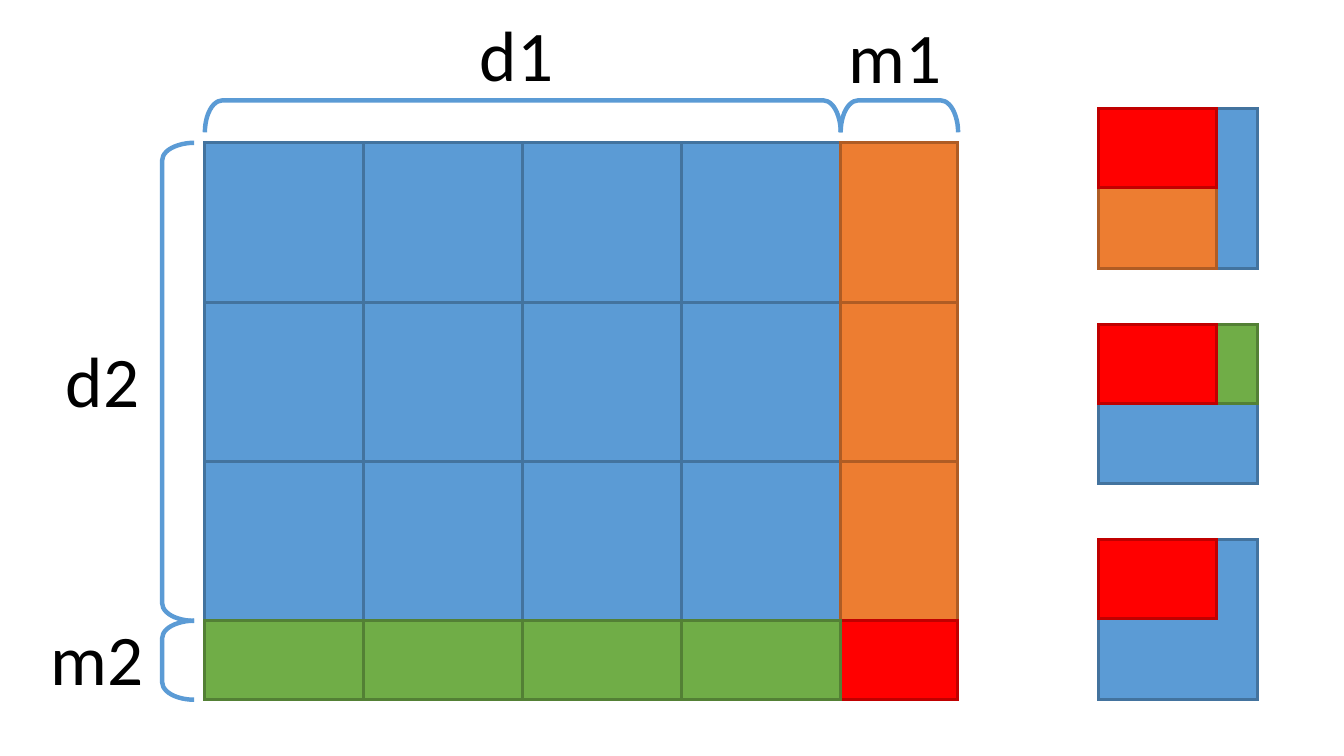
from lxml.etree import SubElement
from pptx import Presentation
from pptx.dml.color import RGBColor
from pptx.enum.shapes import MSO_SHAPE
from pptx.oxml.ns import qn
from pptx.util import Cm, Inches, Pt

COLORS = {
    "full": ("5B9BD5", "43739E"),
    "right": ("ED7D31", "AF5C24"),
    "bottom": ("70AD47", "538035"),
    "corner": ("FF0000", "C00000"),
    "bracket": "5B9BD5",
    "text": "000000",
}
COLUMNS, ROWS = 4, 3
FULL_WIDTH, FULL_HEIGHT = 2.98, 2.24
TILE_WIDTH, TILE_HEIGHT = FULL_WIDTH / COLUMNS, FULL_HEIGHT / ROWS
REST_WIDTH, REST_HEIGHT = 0.55, 0.37
BRACKET_DEPTH, BRACKET_GAP = 0.15, 0.05


def add_tile(slide, kind, left, top, width, height):
    """Add one sharp-cornered rectangle in the colours of its kind."""
    fill, line = COLORS[kind]
    shape = slide.shapes.add_shape(
        MSO_SHAPE.RECTANGLE, Inches(left), Inches(top), Inches(width), Inches(height))
    shape.shadow.inherit = False
    shape.fill.solid()
    shape.fill.fore_color.rgb = RGBColor.from_string(fill)
    shape.line.color.rgb = RGBColor.from_string(line)
    shape.line.width = Pt(1)
    outline = shape.element.spPr.find(qn("a:ln"))
    SubElement(outline, qn("a:miter"), lim="800000")


def add_bracket(slide, center_x, center_y, length, rotation=0):
    """Add a bracket of the given length around its centre."""
    shape = slide.shapes.add_shape(
        MSO_SHAPE.LEFT_BRACKET,
        Inches(center_x - BRACKET_DEPTH / 2), Inches(center_y - length / 2),
        Inches(BRACKET_DEPTH), Inches(length))
    shape.adjustments[0] = 0.55
    shape.rotation = rotation
    shape.shadow.inherit = False
    shape.fill.background()
    shape.line.color.rgb = RGBColor.from_string(COLORS["bracket"])
    shape.line.width = Pt(1.5)


def add_label(slide, text, left, top, size=24, font="Calibri", color="text"):
    """Add a one-line label."""
    box = slide.shapes.add_textbox(Inches(left), Inches(top), Inches(0.89), Inches(0.5))
    box.text_frame.word_wrap = True
    paragraph = box.text_frame.paragraphs[0]
    paragraph.text = text
    paragraph.font.size = Pt(size)
    paragraph.font.name = font
    paragraph.font.color.rgb = RGBColor.from_string(COLORS[color])


def add_tiled_area(slide, left, top):
    """Add the grid of full tiles with its partial column and row."""
    right, bottom = left + FULL_WIDTH, top + FULL_HEIGHT
    for row in range(ROWS):
        for column in range(COLUMNS):
            add_tile(slide, "full", left + column * TILE_WIDTH,
                     top + row * TILE_HEIGHT, TILE_WIDTH, TILE_HEIGHT)
    for row in range(ROWS):
        add_tile(slide, "right", right, top + row * TILE_HEIGHT, REST_WIDTH, TILE_HEIGHT)
    add_tile(slide, "corner", right, bottom, REST_WIDTH, REST_HEIGHT)
    for column in reversed(range(COLUMNS)):
        add_tile(slide, "bottom", left + column * TILE_WIDTH, bottom, TILE_WIDTH, REST_HEIGHT)


def add_dimensions(slide, left, top):
    """Add brackets and labels along the left and top sides of the grid."""
    offset = BRACKET_GAP + BRACKET_DEPTH / 2
    for start, length in ((top, FULL_HEIGHT), (top + FULL_HEIGHT, REST_HEIGHT)):
        add_bracket(slide, left - offset, start + length / 2, length)
    for start, length in ((left, FULL_WIDTH), (left + FULL_WIDTH, REST_WIDTH)):
        add_bracket(slide, start + length / 2, top - offset, length, rotation=90)
    for text, label_left, label_top in (
            ("d1", left + 1.19, top - 0.67), ("m2", left - 0.82, top + 2.16),
            ("d2", left - 0.75, top + 0.86), ("m1", left + 2.92, top - 0.66)):
        add_label(slide, text, label_left, label_top)


def add_overlaps(slide, left, top, step):
    """Add the column of tiles that show each partial tile inside a full one."""
    overlaps = (("right", REST_WIDTH, TILE_HEIGHT),
                ("bottom", TILE_WIDTH, REST_HEIGHT),
                ("corner", REST_WIDTH, REST_HEIGHT))
    for index, (kind, width, height) in enumerate(overlaps):
        tile_top = top + index * step
        add_tile(slide, "full", left, tile_top, TILE_WIDTH, TILE_HEIGHT)
        if kind != "corner":
            add_tile(slide, kind, left, tile_top, width, height)
        add_tile(slide, "corner", left, tile_top, REST_WIDTH, REST_HEIGHT)


def main():
    """Build and save the slide."""
    presentation = Presentation()
    presentation.slide_width, presentation.slide_height = Cm(16), Cm(9)
    slide = presentation.slides.add_slide(presentation.slide_layouts[6])
    add_tiled_area(slide, 0.96, 0.67)
    add_dimensions(slide, 0.96, 0.67)
    add_overlaps(slide, 5.15, 0.51, 1.01)
    presentation.save("out.pptx")


if __name__ == "__main__":
    main()
